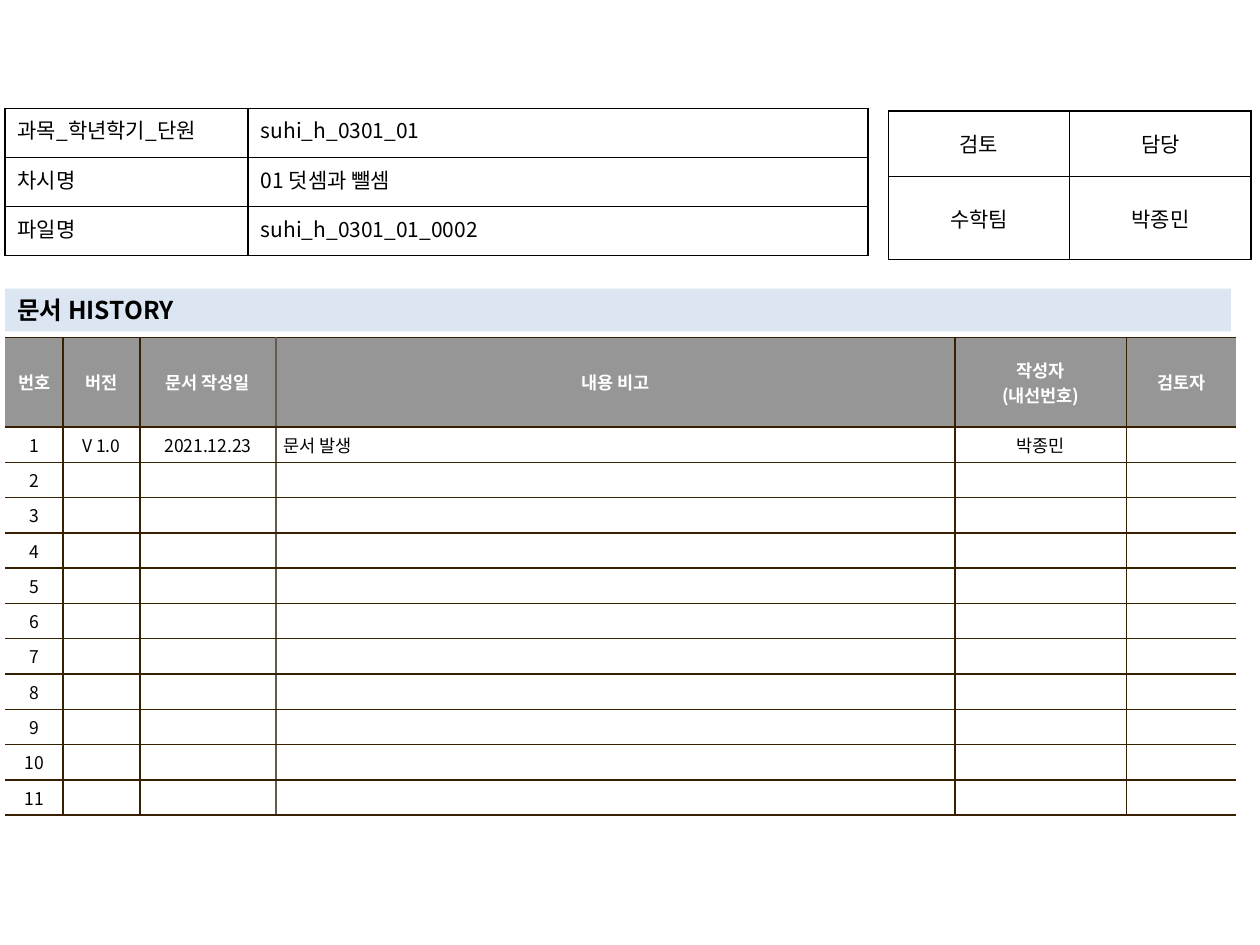
from lxml import etree
from pptx import Presentation
from pptx.dml.color import RGBColor
from pptx.enum.shapes import MSO_SHAPE
from pptx.enum.text import MSO_ANCHOR, PP_ALIGN
from pptx.oxml.ns import qn
from pptx.util import Inches, Pt

RECT = MSO_SHAPE.RECTANGLE
TOP, MIDDLE = MSO_ANCHOR.TOP, MSO_ANCHOR.MIDDLE
LEFT, CENTER, JUSTIFY = PP_ALIGN.LEFT, PP_ALIGN.CENTER, PP_ALIGN.JUSTIFY
FONT = "Noto Sans CJK KR"
COLORS = {"ink": "000000", "paper": "FFFFFF", "head": "969696",
          "bar": "DCE6F2", "rule": "362000", "soft": "645B4C"}

INFO = [["과목_학년학기_단원", "suhi_h_0301_01"],
        ["차시명", "01 덧셈과 뺄셈"],
        ["파일명", "suhi_h_0301_01_0002"]]
REVIEW = [["검토", "담당"], ["수학팀", "박종민"]]
HEADS = ["번호", "버전", "문서 작성일", "내용 비고", "작성자\n(내선번호)", "검토자"]
FIRST = ["1", "V 1.0", "2021.12.23", "문서 발생", "박종민", ""]
LOG = [HEADS, FIRST] + [[str(n)] + [""] * 5 for n in range(2, 12)]
NOTE = 3  # column of the remarks


def rgb(key):
    return RGBColor.from_string(COLORS[key])


def style_text(frame, size, align, color="ink", bold=False):
    for para in frame.paragraphs:
        para.alignment = align
        for run in para.runs:
            font = run.font
            font.size, font.bold = Pt(size), bold
            font.color.rgb = rgb(color)
            font.name = FONT
            east = etree.SubElement(run._r.get_or_add_rPr(), qn("a:ea"))
            east.set("typeface", FONT)
        if not para.runs:
            # An empty cell keeps the row low through its end mark
            end = etree.SubElement(para._p, qn("a:endParaRPr"))
            end.set("sz", str(size * 100))


def set_edge(cell, side, key):
    """Draw one cell border, or hide it when key is None."""
    line = etree.SubElement(cell._tc.get_or_add_tcPr(), qn("a:ln" + side))
    line.set("w", str(Pt(1)))
    if key is None:
        etree.SubElement(line, qn("a:noFill"))
    else:
        fill = etree.SubElement(line, qn("a:solidFill"))
        etree.SubElement(fill, qn("a:srgbClr")).set("val", COLORS[key])


def set_cell(cell, text, edges, fill, anchor, pad):
    for side, key in zip("LRTB", edges):
        set_edge(cell, side, key)
    if fill:
        cell.fill.solid()
        cell.fill.fore_color.rgb = rgb(fill)
    else:
        cell.fill.background()
    cell.text = text
    cell.vertical_anchor = anchor
    cell.margin_left = cell.margin_right = Inches(pad[0])
    cell.margin_top = cell.margin_bottom = Inches(pad[1])


def add_grid(slide, left, top, cols, rows):
    frame = slide.shapes.add_table(
        len(rows), len(cols), Inches(left), Inches(top),
        Inches(sum(cols)), Inches(sum(rows)))
    table = frame.table
    table.first_row = table.horz_banding = False
    for col, width in zip(table.columns, cols):
        col.width = Inches(width)
    for row, height in zip(table.rows, rows):
        row.height = Inches(height)
    return table


def add_form(slide, left, top, cols, rows, data, anchor, aligns):
    table = add_grid(slide, left, top, cols, rows)
    for r, line in enumerate(data):
        for c, text in enumerate(line):
            cell = table.cell(r, c)
            set_cell(cell, text, ["ink"] * 4, None, anchor, (0.1, 0.05))
            style_text(cell.text_frame, 12, aligns[c])


def add_log(slide):
    cols = [0.46, 0.61, 1.08, 5.39, 1.36, 0.87]
    table = add_grid(slide, 0.04, 2.68, cols, [0.71] + [0.25] * 11)
    # Vertical rules from left to right: open sides, softer before the notes
    rules = [None] + ["rule"] * 5 + [None]
    rules[NOTE] = "soft"
    for r, line in enumerate(LOG):
        head = r == 0
        for c, text in enumerate(line):
            cell = table.cell(r, c)
            edges = [rules[c], rules[c + 1], "rule", "rule"]
            set_cell(cell, text, edges, "head" if head else "paper",
                     MIDDLE, (0.06, 0.04))
            align = LEFT if c == NOTE and not head else CENTER
            style_text(cell.text_frame, 10, align,
                       "paper" if head else "ink", head)


def add_bar(slide, text):
    bar = slide.shapes.add_shape(RECT, Inches(0.04), Inches(2.29),
                                 Inches(9.73), Inches(0.34))
    bar.shadow.inherit = False
    bar.fill.solid()
    bar.fill.fore_color.rgb = rgb("bar")
    bar.line.fill.background()
    frame = bar.text_frame
    frame.text = text
    frame.word_wrap = True
    frame.vertical_anchor = MIDDLE
    style_text(frame, 14, LEFT, bold=True)


def main():
    deck = Presentation()
    deck.slide_width, deck.slide_height = Inches(10), Inches(7.5)
    slide = deck.slides.add_slide(deck.slide_layouts[6])

    # Change history
    add_log(slide)
    # Review box
    add_form(slide, 7.05, 0.88, [1.44] * 2, [0.52, 0.66], REVIEW,
             MIDDLE, [CENTER] * 2)
    # Section bar
    add_bar(slide, "문서 HISTORY")
    # Document details
    add_form(slide, 0.04, 0.86, [1.93, 4.92], [0.39] * 3, INFO,
             TOP, [JUSTIFY, LEFT])

    deck.save("out.pptx")


if __name__ == "__main__":
    main()
